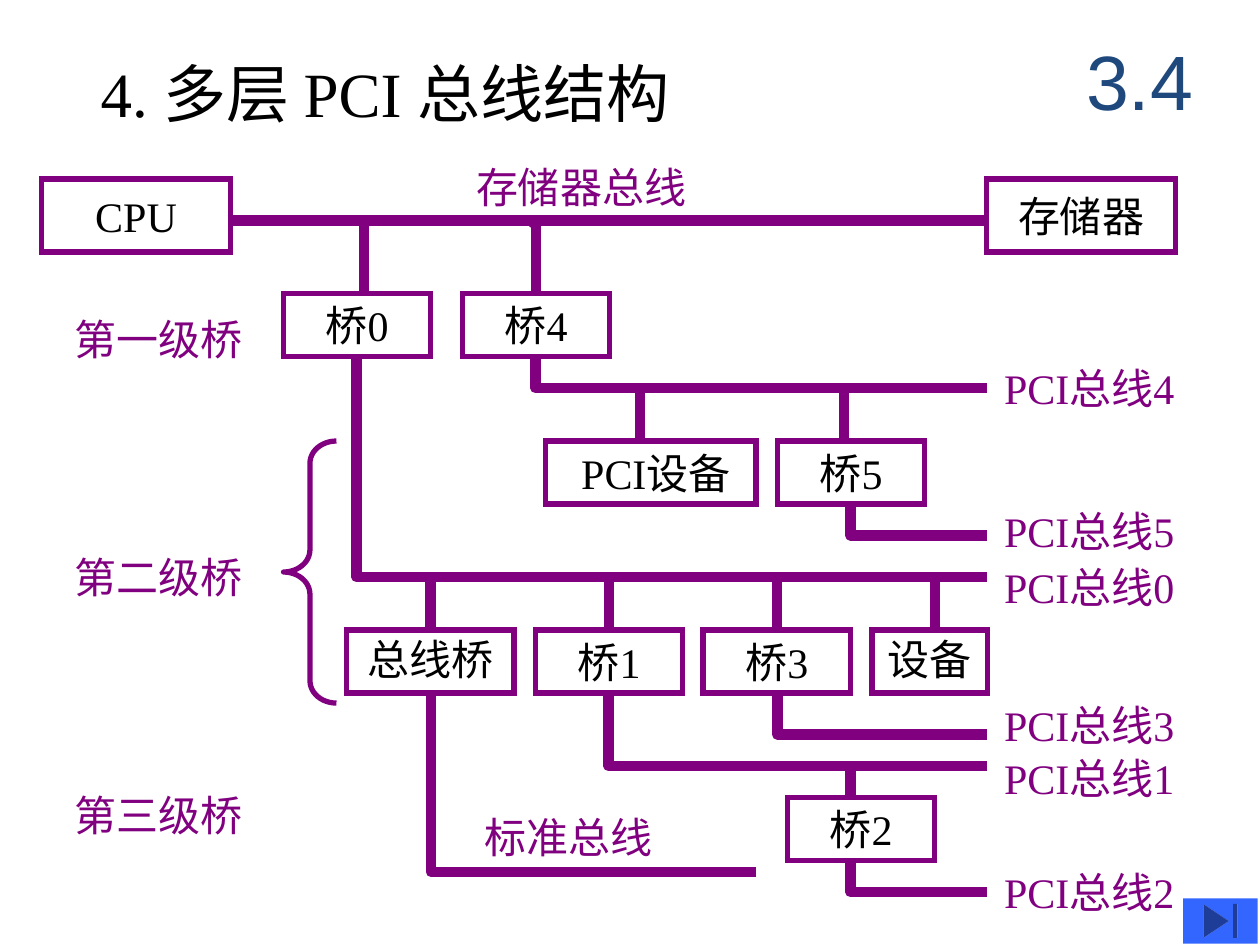
from lxml import etree
from pptx import Presentation
from pptx import util as u
from pptx.dml import color
from pptx.enum import shapes, text
from pptx.oxml import ns

PURPLE, BLACK, NAVY, BLUE = "800080", "000000", "1F497D", "3366FF"
BUS_WIDTH = 6
BUS_END = 7.83
MEMORY_BUS_Y = 1.75

# name: (left, top, width, height)
BOXES = {
    "CPU": (0.33, 1.42, 1.5, 0.58),
    "存储器": (7.83, 1.42, 1.5, 0.58),
    "桥0": (2.25, 2.33, 1.17, 0.5),
    "桥4": (3.67, 2.33, 1.17, 0.5),
    "PCI设备": (4.33, 3.5, 1.67, 0.5),
    "桥5": (6.17, 3.5, 1.17, 0.5),
    "总线桥": (2.75, 5, 1.33, 0.5),
    "桥1": (4.25, 5, 1.17, 0.5),
    "桥3": (5.58, 5, 1.17, 0.5),
    "设备": (6.92, 5, 0.92, 0.5),
    "桥2": (6.25, 6.33, 1.17, 0.5),
}
INSETS = {
    "PCI设备": (0.18, 0.05, 0.1, 0.05),
    "总线桥": (0.1, 0.01, 0.1, 0.05),
    "设备": (0.1, 0.01, 0.1, 0.05),
}
# box below: (x, y of the bus above)
DROPS = {
    "桥0": (2.89, MEMORY_BUS_Y),
    "桥4": (4.25, MEMORY_BUS_Y),
    "PCI设备": (5.08, 3.08),
    "桥5": (6.7, 3.08),
    "总线桥": (3.42, 4.58),
    "桥1": (4.83, 4.58),
    "桥3": (6.17, 4.58),
    "设备": (7.42, 4.58),
    "桥2": (6.75, 6.08),
}
# box above: (x, y of the bus, right end of the bus)
BUSES = {
    "桥4": (4.25, 3.08, BUS_END),
    "桥5": (6.75, 4.25, BUS_END),
    "桥0": (2.83, 4.58, BUS_END),
    "桥3": (6.17, 5.83, BUS_END),
    "桥1": (4.83, 6.08, BUS_END),
    "总线桥": (3.42, 6.92, 6),
    "桥2": (6.75, 7.08, BUS_END),
}
PCI_LABEL_TOPS = {4: 2.83, 5: 3.96, 0: 4.41, 3: 5.5, 1: 5.92, 2: 6.83}
LEVEL_LABELS = ("第一级桥", "第二级桥", "第三级桥")


def rgb(value):
    return color.RGBColor.from_string(value)


def inches(values):
    return [u.Inches(value) for value in values]


def set_line(item, width):
    item.line.color.rgb = rgb(PURPLE)
    item.line.width = u.Pt(width)


def write(shape, words, size=24, fill=BLACK, font="Times New Roman",
          align=text.PP_ALIGN.LEFT, anchor=text.MSO_ANCHOR.TOP,
          wrap=False, grow=False, insets=(0.1, 0.05, 0.1, 0.05)):
    frame = shape.text_frame
    frame.word_wrap = wrap
    if grow:
        frame.auto_size = text.MSO_AUTO_SIZE.SHAPE_TO_FIT_TEXT
    frame.vertical_anchor = anchor
    (frame.margin_left, frame.margin_top,
     frame.margin_right, frame.margin_bottom) = inches(insets)
    para = frame.paragraphs[0]
    para.alignment = align
    span = para.add_run()
    span.text = words
    span.font.name = font
    span.font.size = u.Pt(size)
    span.font.color.rgb = rgb(fill)


def add_label(page, words, place, **style):
    style = {"fill": PURPLE, "grow": True, **style}
    write(page.shapes.add_textbox(*inches(place)), words, **style)


def add_preset(page, kind, place, fill=None, width=3):
    shape = page.shapes.add_shape(kind, *inches(place))
    shape.shadow.inherit = False
    if fill:
        shape.fill.solid()
        shape.fill.fore_color.rgb = rgb(fill)
    else:
        shape.fill.background()
    if width:
        set_line(shape, width)
    else:
        shape.line.fill.background()
    return shape


def add_box(page, name):
    box = add_preset(page, shapes.MSO_SHAPE.RECTANGLE, BOXES[name])
    outline = box._element.spPr.find(ns.qn("a:ln"))
    etree.SubElement(outline, ns.qn("a:miter"), lim="800000")
    write(box, name, align=text.PP_ALIGN.CENTER,
          anchor=text.MSO_ANCHOR.MIDDLE,
          insets=INSETS.get(name, (0.1, 0.05, 0.1, 0.05)))
    return box


def add_straight(page, *ends):
    link = page.shapes.add_connector(
        shapes.MSO_CONNECTOR.STRAIGHT, *inches(ends))
    set_line(link, BUS_WIDTH)
    etree.SubElement(link._element.spPr, ns.qn("a:effectLst"))
    return link


def add_drop(page, name, box):
    """Line from a bus down to a box, joined where it meets the box's middle."""
    x, bus_y = DROPS[name]
    left, top, width, _ = BOXES[name]
    middle = left + width / 2
    joined = abs(middle - x) < 0.02
    if joined:
        x = middle
    link = add_straight(page, x, bus_y, x, top)
    if joined:
        link.end_connect(box, 0)


def add_bus(page, name):
    """Bus that leaves the bottom of a box and turns right."""
    x, bus_y, end = BUSES[name]
    _, top, _, height = BOXES[name]
    builder = page.shapes.build_freeform(u.Inches(x), u.Inches(top + height))
    builder.add_line_segments(
        [inches((x, bus_y)), inches((end, bus_y))], close=False)
    bus = builder.convert_to_shape()
    bus.shadow.inherit = False
    bus.fill.background()
    set_line(bus, BUS_WIDTH)


def main():
    deck = Presentation()
    deck.slide_width, deck.slide_height = inches((10, 7.5))
    page = deck.slides.add_slide(deck.slide_layouts[6])

    add_label(page, "4. 多层 PCI 总线结构", (0.7, 0.38, 5.4, 0.7),
              size=36, fill=BLACK, wrap=True)
    add_label(page, "3.4", (8.42, 0.17, 1.25, 0.92), size=44, fill=NAVY,
              font="Arial", align=text.PP_ALIGN.CENTER,
              anchor=text.MSO_ANCHOR.MIDDLE, wrap=True, grow=False)

    for left in (2.87, 4.21):
        add_preset(page, shapes.MSO_SHAPE.OVAL,
                   (left, MEMORY_BUS_Y, 0.05, 0.04), fill=BLACK)
    boxes = {name: add_box(page, name) for name in BOXES}
    add_straight(page, 1.83, MEMORY_BUS_Y, BUS_END, MEMORY_BUS_Y)
    for name in DROPS:
        add_drop(page, name, boxes[name])
    for name in BUSES:
        add_bus(page, name)

    brace = add_preset(page, shapes.MSO_SHAPE.LEFT_BRACE,
                       (2.25, 3.5, 0.42, 2.08))
    brace.adjustments[0] = 0.42

    for row, words in enumerate(LEVEL_LABELS):
        add_label(page, words, (0.49, 2.44 + 1.89 * row, 1.53, 0.5))
    for number, top in PCI_LABEL_TOPS.items():
        add_label(page, f"PCI总线{number}", (7.87, top, 1.71, 0.5))
    add_label(page, "存储器总线", (3.68, 1.23, 2.1, 0.5), wrap=True)
    add_label(page, "标准总线", (3.75, 6.39, 1.53, 0.5))

    add_preset(page, shapes.MSO_SHAPE.ACTION_BUTTON_END,
               (9.39, 7.13, 0.59, 0.36), fill=BLUE, width=0)
    deck.save("out.pptx")


if __name__ == "__main__":
    main()
